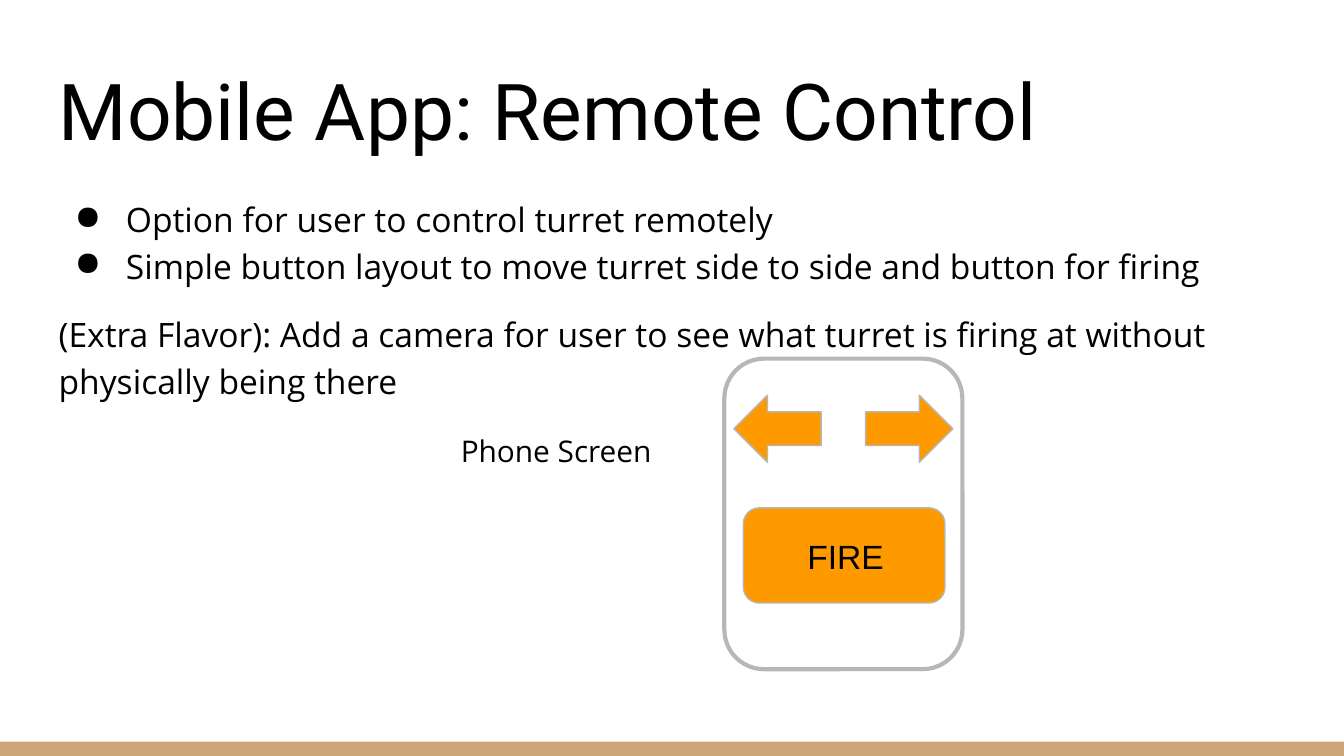
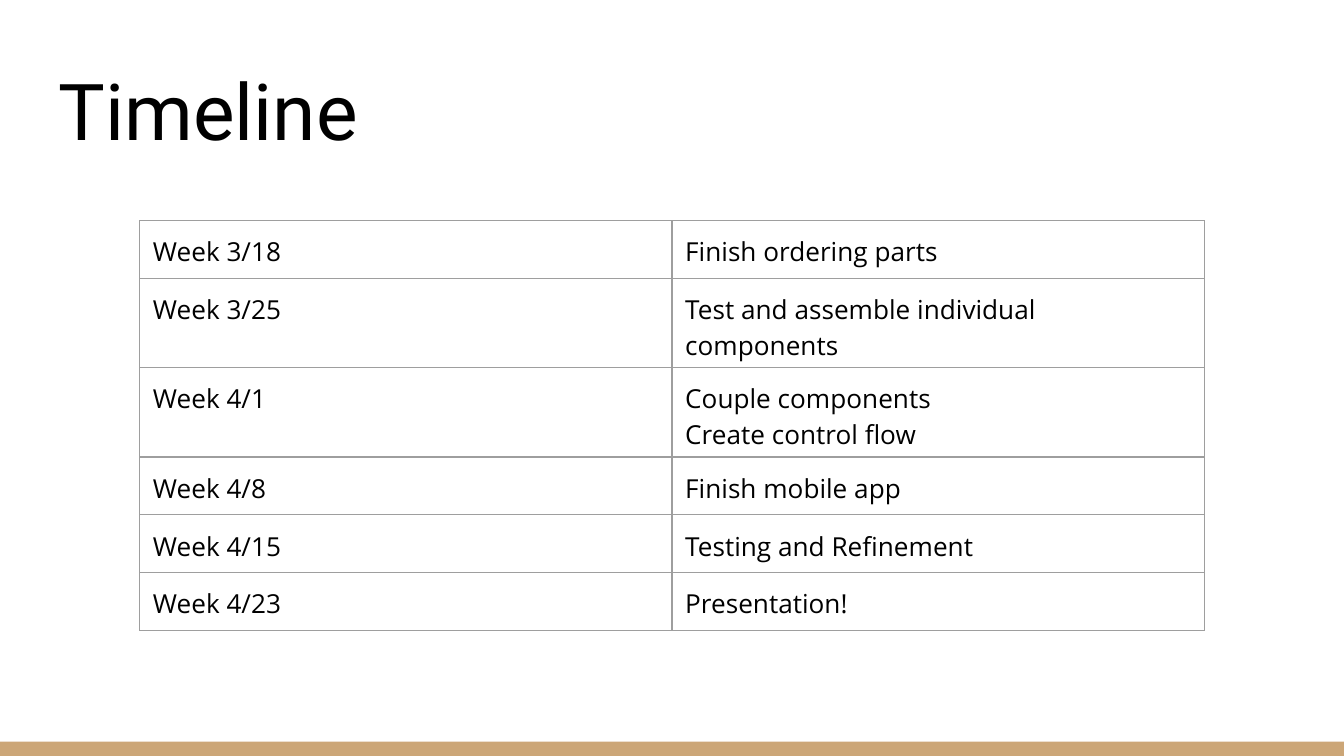
from lxml.etree import SubElement as Sub
from pptx import Presentation
from pptx.dml.color import RGBColor as RGB
from pptx.enum.shapes import MSO_SHAPE as Kind
from pptx.enum.text import MSO_ANCHOR as Anchor
from pptx.oxml.ns import qn
from pptx.util import Cm, Pt

HUES = {
    "ink": "000000",
    "paper": "FFFFFF",
    "band": "CCA677",
    "edge": "B7B7B7",
    "key": "FF9900",
    "grid": "9E9E9E",
}
HEAD, BODY, KEY = "Roboto", "Open Sans", "Arial"
WIDE, HIGH = 25.4, 14.29
PAD = 0.25
TITLE = (0.86, 0.89, 23.67, 2.31)
TEXT = (0.86, 3.4, 23.67, 9.32)
PHONE = (13.69, 6.78, 4.5, 5.87)
PLAN = (2.64, 4.17, 20.12, 6.42)

BULLETS = [
    "Option for user to control turret remotely",
    "Simple button layout to move turret side to side and button for firing",
]
EXTRA = (
    "(Extra Flavor): Add a camera for user to see what turret is firing at "
    "without physically being there"
)
WEEKS = [
    ("Week 3/18", ["Finish ordering parts"]),
    ("Week 3/25", ["Test and assemble individual components"]),
    ("Week 4/1", ["Couple components", "Create control flow"]),
    ("Week 4/8", ["Finish mobile app"]),
    ("Week 4/15", ["Testing and Refinement"]),
    ("Week 4/23", ["Presentation!"]),
]


def hue(name):
    return RGB.from_string(HUES[name])


def add_run(para, text, size, face):
    run = para.add_run()
    run.text = text
    run.font.size = Pt(size)
    run.font.name = face
    run.font.color.rgb = hue("ink")


def add_shape(slide, kind, box, fill, line=None):
    """Add a flat shape; line is its edge width in points."""
    shape = slide.shapes.add_shape(kind, *map(Cm, box))
    shape.shadow.inherit = False
    shape.fill.solid()
    shape.fill.fore_color.rgb = hue(fill)
    if line is None:
        shape.line.fill.background()
    else:
        shape.line.color.rgb = hue("edge")
        shape.line.width = Pt(line)
    return shape


def set_pads(item):
    item.margin_left = item.margin_right = Cm(PAD)
    item.margin_top = item.margin_bottom = Cm(PAD)


def add_text(slide, box, anchor=Anchor.TOP):
    frame = slide.shapes.add_textbox(*map(Cm, box)).text_frame
    frame.word_wrap = True
    frame.vertical_anchor = anchor
    set_pads(frame)
    return frame


def add_page(deck, title):
    """Add a slide with the band and title that all slides share."""
    slide = deck.slides.add_slide(deck.slide_layouts[6])
    slide.background.fill.solid()
    slide.background.fill.fore_color.rgb = hue("paper")
    add_shape(slide, Kind.RECTANGLE, (0, HIGH - 0.27, WIDE, 0.27), "band")
    frame = add_text(slide, TITLE, Anchor.BOTTOM)
    add_run(frame.paragraphs[0], title, 42, HEAD)
    return slide


def indent(para, left, first=0):
    props = para._p.get_or_add_pPr()
    props.set("marL", str(Cm(left)))
    props.set("indent", str(Cm(first)))
    return props


def add_bullet(para):
    props = indent(para, 1.27, -0.97)
    tint = Sub(props, qn("a:buClr"))
    Sub(tint, qn("a:srgbClr"), val=HUES["ink"])
    Sub(props, qn("a:buChar"), char="●")


def add_notes(slide, box):
    """Write the bullets, the extra idea and the label of the phone."""
    frame = add_text(slide, box)
    rows = [(text, 18, 0) for text in BULLETS]
    rows += [(EXTRA, 18, 12), ("Phone Screen", 16, 14)]
    for pos, (text, size, gap) in enumerate(rows):
        para = frame.add_paragraph() if pos else frame.paragraphs[0]
        para.line_spacing = 1.15
        if gap:
            para.space_before = Pt(gap)
        if text in BULLETS:
            add_bullet(para)
        elif text != EXTRA:
            indent(para, 7.6)
        add_run(para, text, size, BODY)


def add_phone(slide, box):
    left, top, wide, _ = box
    add_shape(slide, Kind.ROUNDED_RECTANGLE, box, "paper", 2.25)
    side, span = 0.18, 1.65
    arrows = [
        (Kind.LEFT_ARROW, side),
        (Kind.RIGHT_ARROW, wide - side - span),
    ]
    for kind, shift in arrows:
        spot = (left + shift, top + 0.69, span, 1.27)
        add_shape(slide, kind, spot, "key", 0.75)
    spot = (left + 0.36, top + 2.82, 3.81, 1.8)
    add_shape(slide, Kind.ROUNDED_RECTANGLE, spot, "key", 0.75)
    frame = add_text(slide, (left + 1.32, top + 3.1, 2.46, 0.84))
    add_run(frame.paragraphs[0], "FIRE", 18, KEY)


def style_cell(cell):
    set_pads(cell)
    props = cell._tc.get_or_add_tcPr()
    for side in ("lnL", "lnR", "lnT", "lnB"):
        line = Sub(props, qn(f"a:{side}"), w=str(Pt(0.75)))
        fill = Sub(line, qn("a:solidFill"))
        Sub(fill, qn("a:srgbClr"), val=HUES["grid"])
    cell.fill.background()


def add_plan(slide, box):
    """Add the table of weeks and tasks."""
    frame = slide.shapes.add_table(len(WEEKS), 2, *map(Cm, box))
    table = frame.table
    table.first_row = table.horz_banding = False
    for col in table.columns:
        col.width = Cm(box[2] / 2)
    for row, (week, tasks) in zip(table.rows, WEEKS):
        row.height = Cm(box[3] / len(WEEKS))
        for cell, lines in zip(row.cells, ([week], tasks)):
            style_cell(cell)
            para = cell.text_frame.paragraphs[0]
            for pos, line in enumerate(lines):
                if pos:
                    para.add_line_break()
                add_run(para, line, 14, BODY)


def main():
    deck = Presentation()
    deck.slide_width, deck.slide_height = Cm(WIDE), Cm(HIGH)
    app = add_page(deck, "Mobile App: Remote Control")
    add_phone(app, PHONE)
    add_notes(app, TEXT)
    add_plan(add_page(deck, "Timeline"), PLAN)
    deck.save("out.pptx")


if __name__ == "__main__":
    main()
